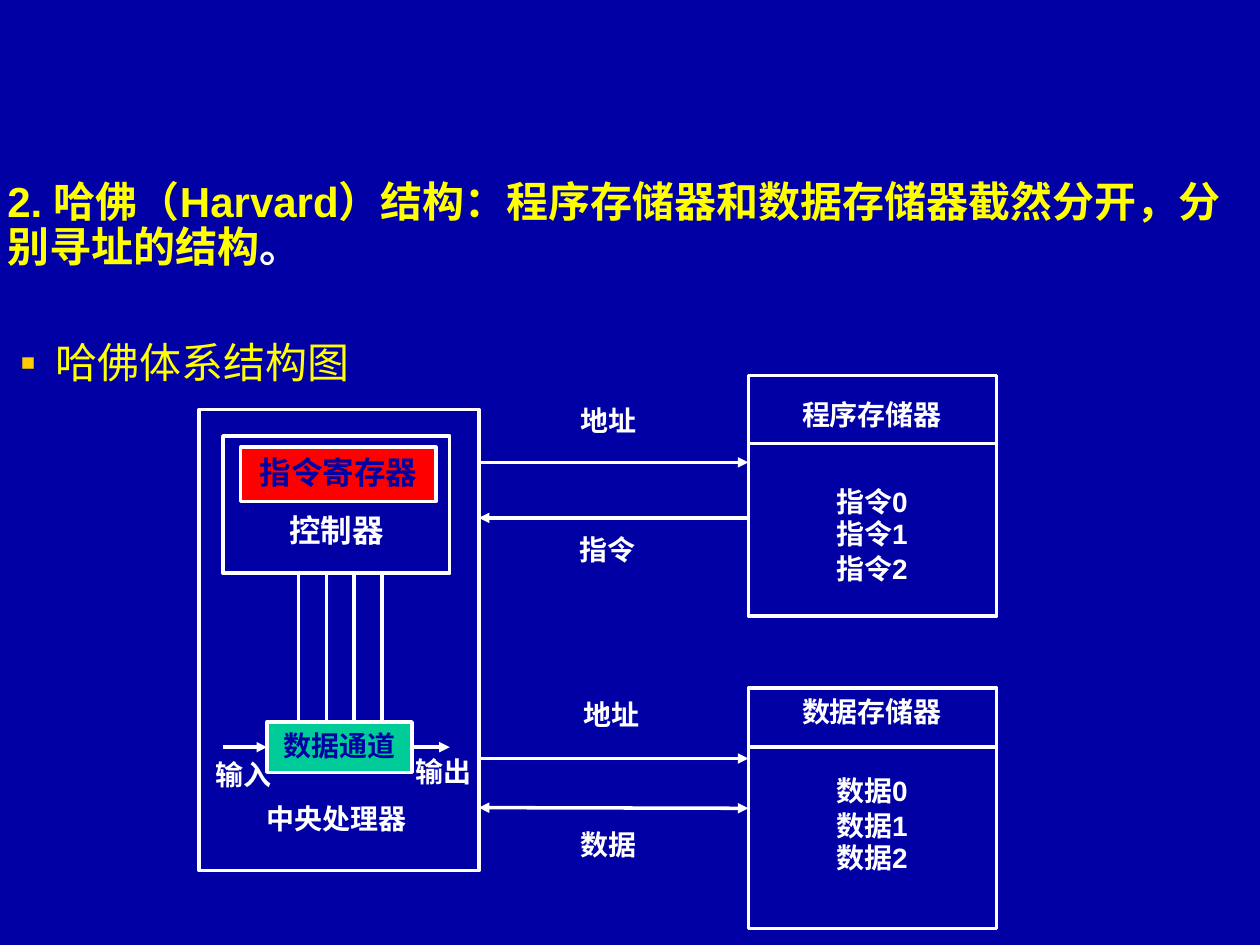
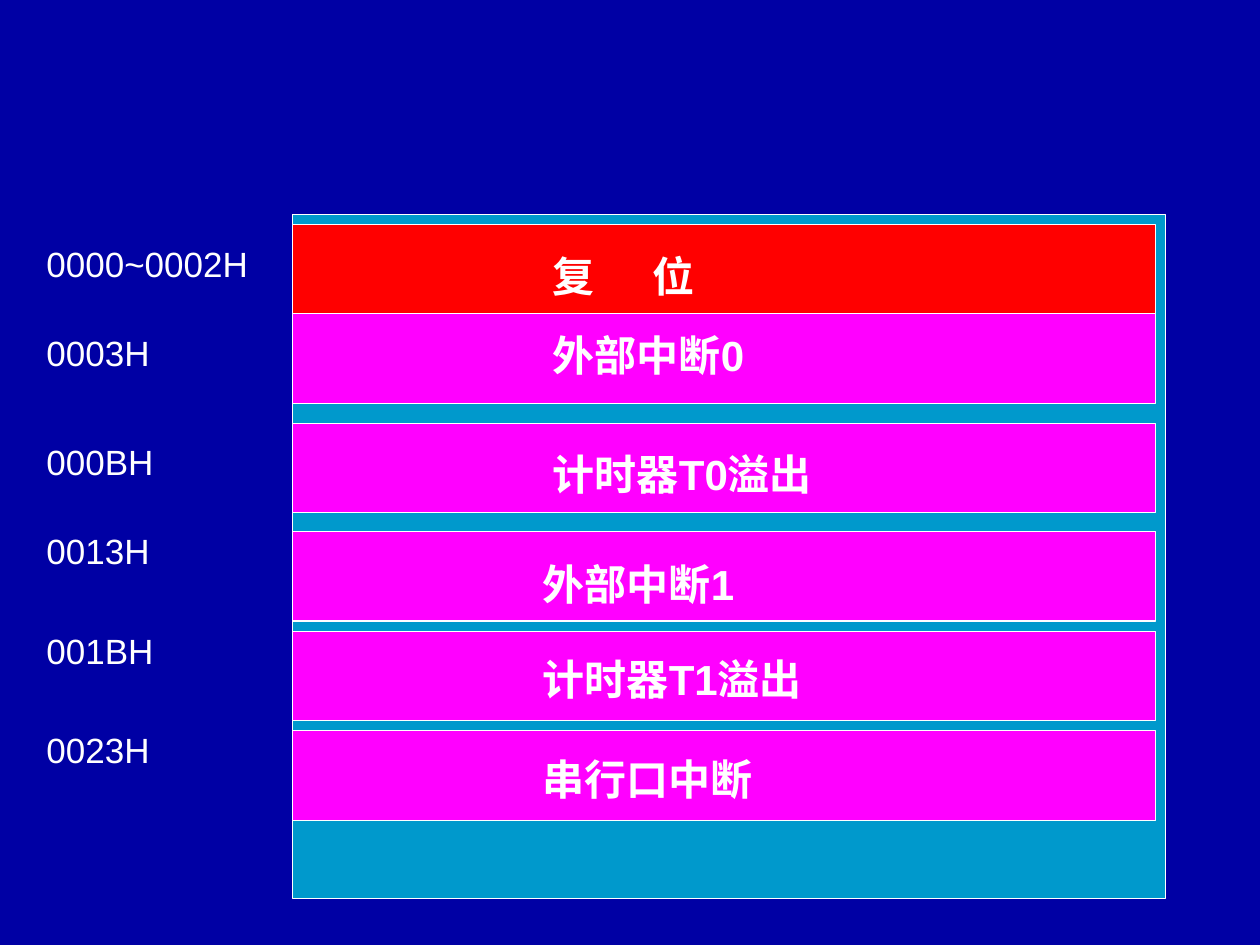
"""Builds two slides: the Harvard architecture and the interrupt vector map."""
from dataclasses import dataclass
from typing import Optional

from pptx import Presentation
from pptx.dml.color import RGBColor
from pptx.enum.shapes import MSO_CONNECTOR, MSO_SHAPE
from pptx.enum.text import MSO_ANCHOR, PP_ALIGN
from pptx.oxml.ns import qn
from pptx.oxml.xmlchemy import OxmlElement
from pptx.shapes.autoshape import Shape
from pptx.shapes.connector import Connector
from pptx.slide import Slide
from pptx.text.text import _Paragraph, _Run
from pptx.util import Inches, Pt

RECTANGLE = MSO_SHAPE.RECTANGLE
STRAIGHT = MSO_CONNECTOR.STRAIGHT
TOP = MSO_ANCHOR.TOP
LEFT, CENTER = PP_ALIGN.LEFT, PP_ALIGN.CENTER
LEFT_SIDE, RIGHT_SIDE = 1, 3


@dataclass(frozen=True)
class Theme:
    """Colours, fonts, type sizes and line widths of the slides."""
    background: RGBColor = RGBColor(0x00, 0x00, 0xA4)
    white: RGBColor = RGBColor(0xFF, 0xFF, 0xFF)
    yellow: RGBColor = RGBColor(0xFF, 0xFF, 0x00)
    bullet: str = "FFCC00"
    red: RGBColor = RGBColor(0xFF, 0x00, 0x00)
    green: RGBColor = RGBColor(0x00, 0xCC, 0x99)
    magenta: RGBColor = RGBColor(0xFF, 0x00, 0xFF)
    cyan: RGBColor = RGBColor(0x00, 0x99, 0xCC)
    font: str = "Arial"
    serif: str = "Times New Roman"
    asian_font: str = "Noto Sans CJK SC"
    heading: int = 24
    address: int = 20
    unit: int = 18
    label: int = 16
    diagram_line: float = 2
    map_line: float = 0.75


THEME = Theme()


@dataclass(frozen=True)
class Box:
    """A position and a size in inches."""
    left: float
    top: float
    width: float
    height: float

    def lengths(self) -> list[int]:
        """Return the four values as slide lengths."""
        return [Inches(value) for value in (self.left, self.top, self.width, self.height)]


@dataclass(frozen=True)
class Style:
    """The look of a piece of text."""
    size: int = THEME.label
    color: RGBColor = THEME.white
    bold: bool = True
    align: PP_ALIGN = LEFT
    spacing: float = 1.0


@dataclass(frozen=True)
class Memory:
    """A memory block with its title, divider and cells, as offsets from its top."""
    title: str
    cell: str
    top: float
    title_offset: float
    divider_offset: float
    cell_offsets: tuple[float, ...]


@dataclass(frozen=True)
class Vector:
    """An interrupt vector with its address and its place in the map."""
    address: str
    name: str
    top: float
    address_offset: float
    name_left: float
    name_offset: float
    fill: RGBColor = THEME.magenta


LABEL = Style()
CENTERED = Style(align=CENTER)
HEADING = Style(THEME.heading, THEME.yellow, spacing=0.9)
SUBHEADING = Style(THEME.heading, THEME.yellow, bold=False)
VECTOR_NAME = Style(THEME.heading)
ADDRESS = Style(THEME.address, bold=False, spacing=0.5)

CPU_RIGHT, MEMORY_LEFT, MEMORY_WIDTH, MEMORY_HEIGHT = 3.8, 5.94, 1.97, 1.91
MEMORIES = (
    Memory("程序存储器", "指令", 2.98, 0.13, 0.54, (0.82, 1.07, 1.35)),
    Memory("数据存储器", "数据", 5.46, 0, 0.47, (0.63, 0.91, 1.16)),
)
LABELS = (
    ("输入", 1.61, 5.96, 0.76),
    ("输出", 3.2, 5.94, 0.76),
    ("中央处理器", 2.02, 6.31, 1.32),
    ("地址", 4.51, 3.15, 0.76),
    ("指令", 4.5, 4.18, 0.76),
    ("地址", 4.53, 5.49, 0.76),
    ("数据", 4.51, 6.52, 0.76),
)
VECTORS = (
    Vector("0000~0002H", "复\t位", 1.78, 0.24, 4.29, 0.16, THEME.red),
    Vector("0003H", "外部中断0", 2.49, 0.24, 4.29, 0.08),
    Vector("000BH", "计时器T0溢出", 3.36, 0.23, 4.29, 0.15),
    Vector("0013H", "外部中断1", 4.22, 0.08, 4.21, 0.16),
    Vector("001BH", "计时器T1溢出", 5.01, 0.08, 4.21, 0.13),
    Vector("0023H", "串行口中断", 5.8, 0.08, 4.21, 0.13),
)


def add_child(parent, tag: str, **attributes: str):
    """Append an XML element with attributes and return it."""
    child = OxmlElement(tag)
    for name, value in attributes.items():
        child.set(name, value)
    parent.append(child)
    return child


def format_run(run: _Run, style: Style, font: str = THEME.font) -> None:
    """Give a run its fonts, size, weight and colour."""
    run.font.name = font
    run.font.size = Pt(style.size)
    run.font.bold = style.bold
    run.font.color.rgb = style.color
    add_child(run.font._element, "a:ea", typeface=THEME.asian_font)


def write(shape: Shape, text: str, style: Style) -> _Paragraph:
    """Write one paragraph into a shape and return it."""
    frame = shape.text_frame
    frame.word_wrap = True
    frame.vertical_anchor = TOP
    paragraph = frame.paragraphs[0]
    paragraph.text = text
    paragraph.alignment = style.align
    paragraph.line_spacing = style.spacing
    format_run(paragraph.runs[0], style)
    return paragraph


def add_text(slide: Slide, box: Box, text: str, style: Style = LABEL) -> _Paragraph:
    """Add a text box and return its paragraph."""
    return write(slide.shapes.add_textbox(*box.lengths()), text, style)


def add_rectangle(slide: Slide, box: Box, fill: Optional[RGBColor] = None,
                  line_width: float = THEME.diagram_line) -> Shape:
    """Add a rectangle with a white outline."""
    shape = slide.shapes.add_shape(RECTANGLE, *box.lengths())
    shape.shadow.inherit = False
    if fill is None:
        shape.fill.background()
    else:
        shape.fill.solid()
        shape.fill.fore_color.rgb = fill
    shape.line.color.rgb = THEME.white
    shape.line.width = Pt(line_width)
    return shape


def add_line(slide: Slide, start: tuple[float, float], end: tuple[float, float],
             head: bool = False, tail: bool = False) -> Connector:
    """Add a white line with optional arrowheads at its start and end."""
    points = [Inches(value) for value in (*start, *end)]
    connector = slide.shapes.add_connector(STRAIGHT, *points)
    connector.line.color.rgb = THEME.white
    connector.line.width = Pt(THEME.diagram_line)
    outline = connector.line._get_or_add_ln()
    for wanted, tag in ((head, "a:headEnd"), (tail, "a:tailEnd")):
        if wanted:
            add_child(outline, tag, type="triangle")
    add_child(connector._element.find(qn("p:spPr")), "a:effectLst")
    return connector


def add_bullet(paragraph: _Paragraph) -> None:
    """Give a paragraph a square bullet and a hanging indent."""
    properties = paragraph._p.get_or_add_pPr()
    indent = Inches(0.38)
    properties.set("marL", str(indent))
    properties.set("indent", str(-indent))
    add_child(add_child(properties, "a:buClr"), "a:srgbClr", val=THEME.bullet)
    add_child(properties, "a:buFont", typeface=THEME.asian_font)
    add_child(properties, "a:buChar", char="▪")


def add_tab_stop(paragraph: _Paragraph, position: float) -> None:
    """Set a left tab stop in a paragraph."""
    tabs = add_child(paragraph._p.get_or_add_pPr(), "a:tabLst")
    add_child(tabs, "a:tab", pos=str(Inches(position)), algn="l")


def add_slide(presentation) -> Slide:
    """Add a blank slide with the shared background."""
    slide = presentation.slides.add_slide(presentation.slide_layouts[6])
    slide.background.fill.solid()
    slide.background.fill.fore_color.rgb = THEME.background
    return slide


def add_memory(slide: Slide, memory: Memory) -> Shape:
    """Draw a memory block and return its frame."""
    frame = add_rectangle(slide, Box(MEMORY_LEFT, memory.top, MEMORY_WIDTH, MEMORY_HEIGHT))
    divider = memory.top + memory.divider_offset
    add_line(slide, (MEMORY_LEFT, divider), (MEMORY_LEFT + MEMORY_WIDTH, divider))
    rows = [(memory.title, memory.title_offset)]
    rows += [(f"{memory.cell}{i}", offset) for i, offset in enumerate(memory.cell_offsets)]
    for text, offset in rows:
        add_text(slide, Box(6.26, memory.top + offset, 1.32, 0.37), text, CENTERED)
    return frame


def add_processor(slide: Slide) -> None:
    """Draw the processor with its controller, data path and inner lines."""
    add_rectangle(slide, Box(1.58, 3.25, 2.22, 3.66))
    add_rectangle(slide, Box(1.77, 3.46, 1.8, 1.09))
    register = add_rectangle(slide, Box(1.91, 3.55, 1.55, 0.43), THEME.red)
    write(register, "指令寄存器", Style(THEME.unit, THEME.background, align=CENTER))
    add_text(slide, Box(1.77, 4.01, 1.8, 0.4), "控制器", Style(THEME.unit, align=CENTER))
    data_path = add_rectangle(slide, Box(2.12, 5.73, 1.15, 0.4), THEME.green)
    write(data_path, "数据通道", Style(color=THEME.background, align=CENTER))
    for i in range(4):
        x = 2.37 + 0.22 * i
        add_line(slide, (x, 4.55), (x, 5.73))
    add_line(slide, (1.77, 5.93), (2.12, 5.93), tail=True).end_connect(data_path, LEFT_SIDE)
    add_line(slide, (3.27, 5.93), (3.57, 5.93), tail=True).begin_connect(data_path, RIGHT_SIDE)


def build_harvard_slide(presentation) -> None:
    """Build the slide on the Harvard architecture."""
    slide = add_slide(presentation)
    title = add_text(slide, Box(-0.04, 1.39, 10, 0.83),
                     "2. 哈佛（Harvard）结构：程序存储器和数据存储器截然分开，分别寻址的结构", HEADING)
    full_stop = title.add_run()
    full_stop.text = "。"
    format_run(full_stop, VECTOR_NAME, THEME.serif)
    add_bullet(add_text(slide, Box(-0.04, 2.62, 9, 0.5), "哈佛体系结构图", SUBHEADING))
    add_processor(slide)
    _, data_memory = [add_memory(slide, memory) for memory in MEMORIES]
    for y in (3.67, 6.02):
        add_line(slide, (CPU_RIGHT, y), (MEMORY_LEFT, y), tail=True)
    add_line(slide, (MEMORY_LEFT, 4.11), (CPU_RIGHT, 4.11), tail=True)
    data_bus = add_line(slide, (MEMORY_LEFT, 6.41), (CPU_RIGHT, 6.41), head=True, tail=True)
    data_bus.begin_connect(data_memory, LEFT_SIDE)
    for text, left, top, width in LABELS:
        add_text(slide, Box(left, top, width, 0.37), text)


def build_vector_slide(presentation) -> None:
    """Build the slide with the interrupt vector map."""
    slide = add_slide(presentation)
    add_rectangle(slide, Box(2.32, 1.7, 6.93, 5.43), THEME.cyan, THEME.map_line)
    for vector in VECTORS:
        add_rectangle(slide, Box(2.32, vector.top, 6.85, 0.71), vector.fill, THEME.map_line)
        add_text(slide, Box(0.27, vector.top + vector.address_offset, 1.97, 0.27),
                 vector.address, ADDRESS)
        name = add_text(slide, Box(vector.name_left, vector.top + vector.name_offset, 2.99, 0.5),
                        vector.name, VECTOR_NAME)
        if "\t" in vector.name:
            add_tab_stop(name, 0.79)


def main() -> None:
    """Build and save the presentation."""
    presentation = Presentation()
    presentation.slide_width = Inches(10)
    presentation.slide_height = Inches(7.5)
    build_harvard_slide(presentation)
    build_vector_slide(presentation)
    presentation.save("out.pptx")


if __name__ == "__main__":
    main()
